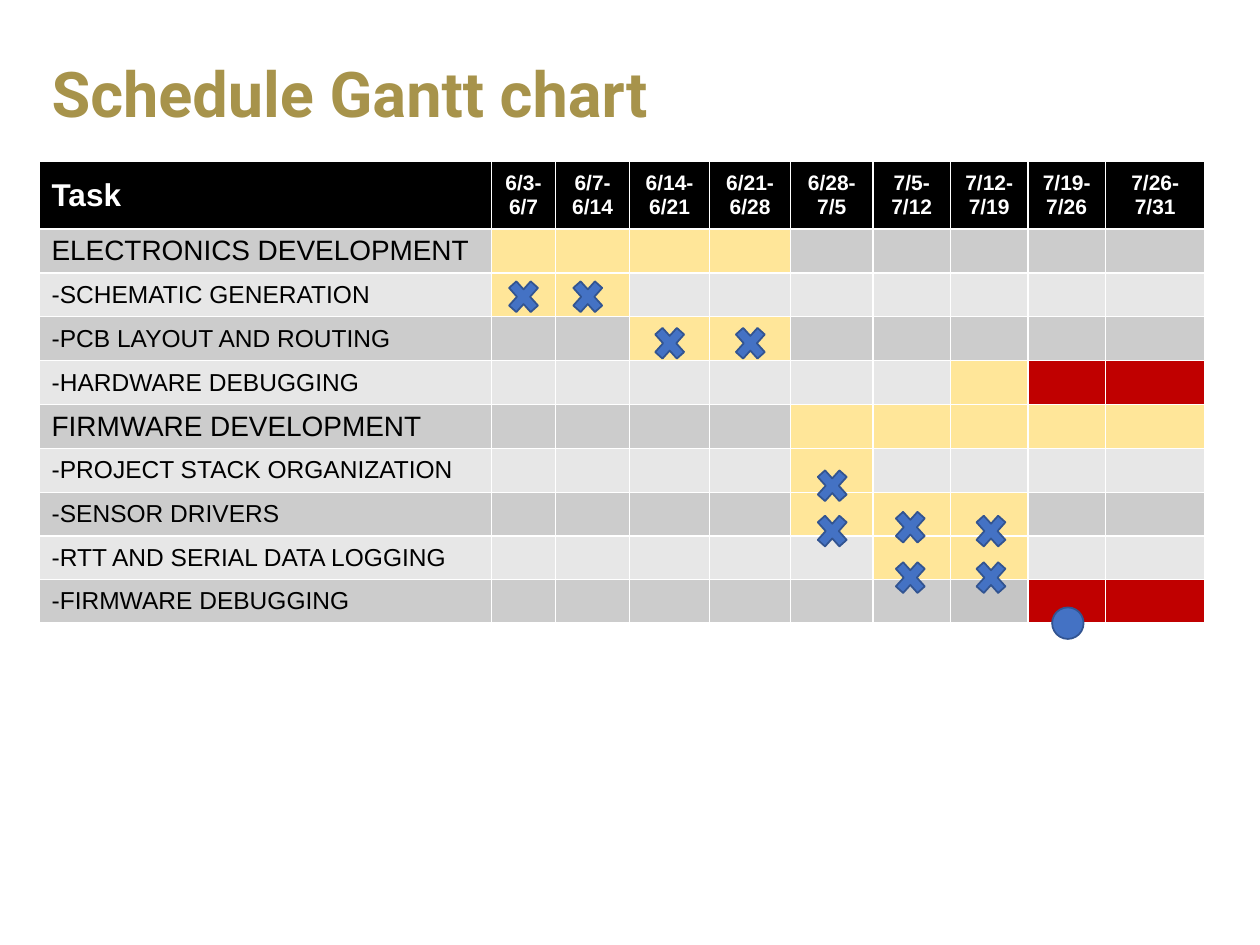
import pptx
import pptx.util
import pptx.dml.color
import pptx.enum.shapes
import pptx.enum.text

Pt = pptx.util.Pt
SHAPE = pptx.enum.shapes.MSO_SHAPE
ALIGN = pptx.enum.text.PP_ALIGN
MIDDLE = pptx.enum.text.MSO_ANCHOR.MIDDLE

HUES = {
    "gold": "A7934B", "black": "000000", "white": "FFFFFF",
    "dark": "CCCCCC", "light": "E7E7E7", "blue": "4472C4", "navy": "325491",
    "plan": "FFE699", "late": "C00000", "dim": "C5C5C5",
}
CODES = {"P": "plan", "L": "late", "D": "dim"}

WIDTHS = [258.6, 36.6, 42.3, 45.7, 46.3, 47.1, 44.3, 44.3, 44.3, 56.9]
HEIGHTS = [38.6] + [25.1] * 7 + [24.8] * 2
HEADS = ["Task", "6/3-6/7", "6/7-6/14", "6/14-6/21", "6/21-6/28", "6/28-7/5",
         "7/5-7/12", "7/12-7/19", "7/19-7/26", "7/26-7/31"]
# One letter a week: P planned, L late, D dimmed, . idle
TASKS = [
    ("ELECTRONICS DEVELOPMENT", "PPPP....."),
    ("-SCHEMATIC GENERATION", "PP......."),
    ("-PCB LAYOUT AND ROUTING", "..PP....."),
    ("-HARDWARE DEBUGGING", "......PLL"),
    ("FIRMWARE DEVELOPMENT", "....PPPPP"),
    ("-PROJECT STACK ORGANIZATION", "....P...."),
    ("-SENSOR DRIVERS", "....PPP.."),
    ("-RTT AND SERIAL DATA LOGGING", ".....PP.."),
    ("-FIRMWARE DEBUGGING", "......DLL"),
]
# Left and top of each cross, from the corner of the table
DONE = [(265, 64.1), (301.7, 64.1), (348.5, 90.7), (394.6, 90.7),
        (441.4, 172.1), (441.4, 198), (486, 224.6), (486, 195.8),
        (532.1, 198), (532.1, 224.6)]
NOW = (578.9, 254.9)


def hue(name):
    return pptx.dml.color.RGBColor.from_string(HUES[name])


def add_run(para, text, size, color, bold=False, face="Arial"):
    run = para.add_run()
    run.text = text
    font = run.font
    font.name, font.size, font.bold = face, Pt(size), bold
    font.color.rgb = hue(color)


def add_title(slide, left, top, width, height):
    title = slide.shapes.title
    title.left, title.top = Pt(left), Pt(top)
    title.width, title.height = Pt(width), Pt(height)
    frame = title.text_frame
    frame.vertical_anchor = MIDDLE
    para = frame.paragraphs[0]
    para.alignment = ALIGN.LEFT
    para.line_spacing = 0.9
    add_run(para, "Schedule Gantt chart", 36, "gold", True, "Roboto")


def paint(cell, color):
    cell.fill.solid()
    cell.fill.fore_color.rgb = hue(color)
    cell.vertical_anchor = MIDDLE
    cell.margin_top = cell.margin_bottom = Pt(1)


def add_grid(slide, left, top):
    """Table of tasks by week; its style draws the white rules."""
    table = slide.shapes.add_table(
        len(HEIGHTS), len(WIDTHS), Pt(left), Pt(top),
        Pt(sum(WIDTHS)), Pt(sum(HEIGHTS))).table
    table.horz_banding = False
    for col, width in zip(table.columns, WIDTHS):
        col.width = Pt(width)
    for row, height in zip(table.rows, HEIGHTS):
        row.height = Pt(height)

    for col, head in enumerate(HEADS):
        cell = table.cell(0, col)
        paint(cell, "black")
        para = cell.text_frame.paragraphs[0]
        para.alignment = ALIGN.CENTER if col else ALIGN.LEFT
        add_run(para, head, 12 if col else 18, "white", True)

    for row, (task, weeks) in enumerate(TASKS, 1):
        band = "dark" if row % 2 else "light"
        name = table.cell(row, 0)
        paint(name, band)
        size = 14 if task.startswith("-") else 16
        add_run(name.text_frame.paragraphs[0], task, size, "black")
        for col, code in enumerate(weeks, 1):
            paint(table.cell(row, col), CODES.get(code, band))


def add_mark(slide, kind, left, top, width, height):
    mark = slide.shapes.add_shape(kind, Pt(left), Pt(top), Pt(width), Pt(height))
    mark.shadow.inherit = False
    mark.fill.solid()
    mark.fill.fore_color.rgb = hue("blue")
    mark.line.color.rgb = hue("navy")
    mark.line.width = Pt(1)


def add_gantt(slide, left, top):
    add_grid(slide, left, top)
    for x, y in DONE:
        add_mark(slide, SHAPE.MATH_MULTIPLY, left + x, top + y, 23.8, 26.6)
    add_mark(slide, SHAPE.OVAL, left + NOW[0], top + NOW[1], 18, 18)


def main():
    deck = pptx.Presentation()
    deck.slide_width, deck.slide_height = Pt(720), Pt(540)
    slide = deck.slides.add_slide(deck.slide_layouts.get_by_name("Title Only"))
    add_title(slide, 22.3, 15.8, 675.4, 79.9)
    add_gantt(slide, 22.3, 92.2)
    deck.save("out.pptx")


if __name__ == "__main__":
    main()
